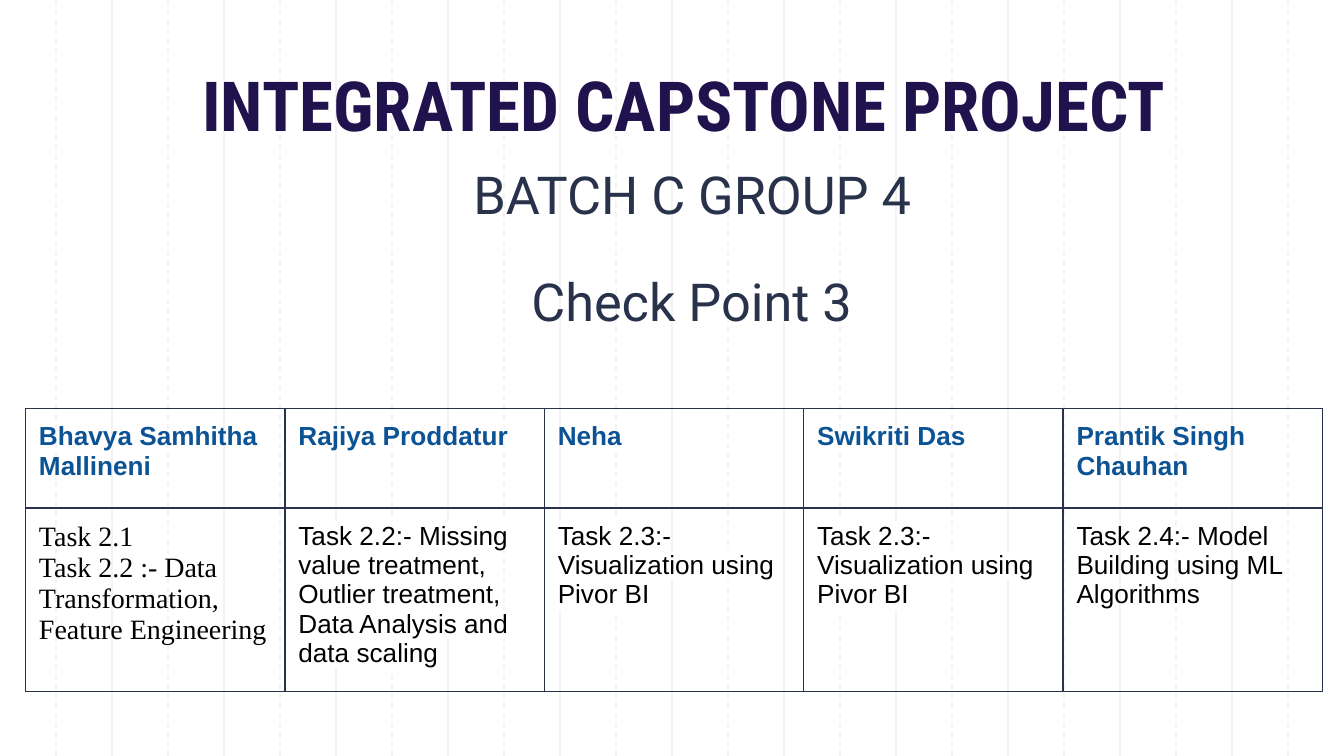
from lxml.etree import SubElement
from pptx import Presentation
from pptx.dml.color import RGBColor
from pptx.enum.dml import MSO_LINE
from pptx.enum.shapes import MSO_CONNECTOR
from pptx.enum.text import MSO_ANCHOR, PP_ALIGN
from pptx.oxml.ns import qn
from pptx.util import Inches, Pt

WHITE = RGBColor(0xFF, 0xFF, 0xFF)
BLACK = RGBColor(0x00, 0x00, 0x00)
GRID = RGBColor(0xF3, 0xF3, 0xF3)
PURPLE = RGBColor(0x20, 0x12, 0x4D)
NAVY = RGBColor(0x28, 0x32, 0x4A)
BLUE = RGBColor(0x0B, 0x53, 0x94)

SLIDE_WIDTH = 10
SLIDE_HEIGHT = SLIDE_WIDTH * 9 / 16
GRID_STEPS = 24
GRID_HEIGHT = 5.65
COLUMN_WIDTH = 1.93
ROW_HEIGHTS = (0.74, 1.33)
PADDING = Inches(0.1)

VISUALIZATION = "Task 2.3:- Visualization using\nPivor BI"
MEMBERS = (
    ("Bhavya Samhitha Mallineni",
     "Task 2.1\nTask 2.2 :- Data Transformation, Feature Engineering",
     "Times New Roman", 15, False),
    ("Rajiya Proddatur",
     "Task 2.2:- Missing value treatment, Outlier treatment, "
     "Data Analysis and data scaling",
     "Arial", 14, True),
    ("Neha", VISUALIZATION, "Arial", 14, True),
    ("Swikriti Das", VISUALIZATION, "Arial", 14, True),
    ("Prantik Singh Chauhan", "Task 2.4:- Model Building using ML Algorithms",
     "Arial", 14, False),
)


def add_color(parent, color):
    """Append an RGB colour element to a parent element."""
    SubElement(parent, qn("a:srgbClr")).set("val", str(color))


def style_text(frame, font_name, size, color, bold=False, highlighted=False):
    """Format every run and paragraph end of a text frame."""
    for paragraph in frame.paragraphs:
        for run in paragraph.runs:
            font = run.font
            font.size, font.bold = Pt(size), bold
            font.color.rgb = color
            if highlighted:
                add_color(SubElement(font._element, qn("a:highlight")), WHITE)
            font.name = font_name
        paragraph_end = SubElement(paragraph._p, qn("a:endParaRPr"))
        paragraph_end.set("sz", str(size * 100))


def pad(box):
    """Give a text frame or a cell equal margins on all sides."""
    box.margin_left = box.margin_right = PADDING
    box.margin_top = box.margin_bottom = PADDING


def add_grid_line(slide, x, dashed):
    """Draw one vertical background line."""
    left = Inches(x)
    grid_line = slide.shapes.add_connector(
        MSO_CONNECTOR.STRAIGHT, left, 0, left, Inches(GRID_HEIGHT))
    grid_line.line.color.rgb = GRID
    grid_line.line.width = Pt(0.75)
    if dashed:
        grid_line.line.dash_style = MSO_LINE.DASH
    SubElement(grid_line._element.spPr, qn("a:effectLst"))


def add_heading(slide, text, bounds, font_name, size, color, bold=False,
                anchor=MSO_ANCHOR.TOP, space_before=0):
    """Add a centred line of text."""
    frame = slide.shapes.add_textbox(*map(Inches, bounds)).text_frame
    frame.word_wrap = True
    frame.vertical_anchor = anchor
    pad(frame)
    frame.text = text
    frame.paragraphs[0].alignment = PP_ALIGN.CENTER
    frame.paragraphs[0].space_before = Pt(space_before)
    style_text(frame, font_name, size, color, bold)


def add_borders(cell):
    """Outline all four sides of a table cell."""
    properties = cell._tc.get_or_add_tcPr()
    for side in ("L", "R", "T", "B"):
        border = SubElement(properties, qn(f"a:ln{side}"))
        border.set("w", str(Pt(0.75)))
        add_color(SubElement(border, qn("a:solidFill")), NAVY)


def fill_cell(cell, text, font_name, size, color, bold=False,
              highlighted=False):
    """Write and format one transparent, bordered table cell."""
    pad(cell)
    add_borders(cell)
    cell.fill.background()
    cell.text_frame.text = text
    style_text(cell.text_frame, font_name, size, color, bold, highlighted)


def add_task_table(slide):
    """Add the table of members and their tasks."""
    table = slide.shapes.add_table(
        len(ROW_HEIGHTS), len(MEMBERS), Inches(0.19), Inches(3.04),
        Inches(COLUMN_WIDTH * len(MEMBERS)), Inches(sum(ROW_HEIGHTS))).table
    for row, height in zip(table.rows, ROW_HEIGHTS):
        row.height = Inches(height)
    for index, (member, task, font_name, size, highlighted) in enumerate(MEMBERS):
        table.columns[index].width = Inches(COLUMN_WIDTH)
        fill_cell(table.cell(0, index), member, "Arial", 14, BLUE, bold=True)
        fill_cell(table.cell(1, index), task, font_name, size, BLACK,
                  highlighted=highlighted)


def main():
    """Build and save the slide."""
    deck = Presentation()
    deck.slide_width, deck.slide_height = Inches(SLIDE_WIDTH), Inches(SLIDE_HEIGHT)
    slide = deck.slides.add_slide(deck.slide_layouts[6])
    slide.background.fill.solid()
    slide.background.fill.fore_color.rgb = WHITE
    for step in (*range(2, GRID_STEPS, 2), *range(1, GRID_STEPS, 2)):
        add_grid_line(slide, SLIDE_WIDTH * step / GRID_STEPS, step % 2 == 1)
    add_heading(slide, "INTEGRATED CAPSTONE PROJECT ", (1.35, 0.39, 7.58, 0.79),
                "Roboto Condensed", 37, PURPLE, bold=True,
                anchor=MSO_ANCHOR.BOTTOM)
    add_heading(slide, "BATCH C GROUP 4", (2.86, 1.11, 4.58, 0.87),
                "Roboto", 28, NAVY, space_before=6)
    add_heading(slide, "Check Point 3", (3.49, 1.9, 3.31, 0.87),
                "Roboto", 28, NAVY, space_before=6)
    add_task_table(slide)
    deck.save("out.pptx")


if __name__ == "__main__":
    main()
